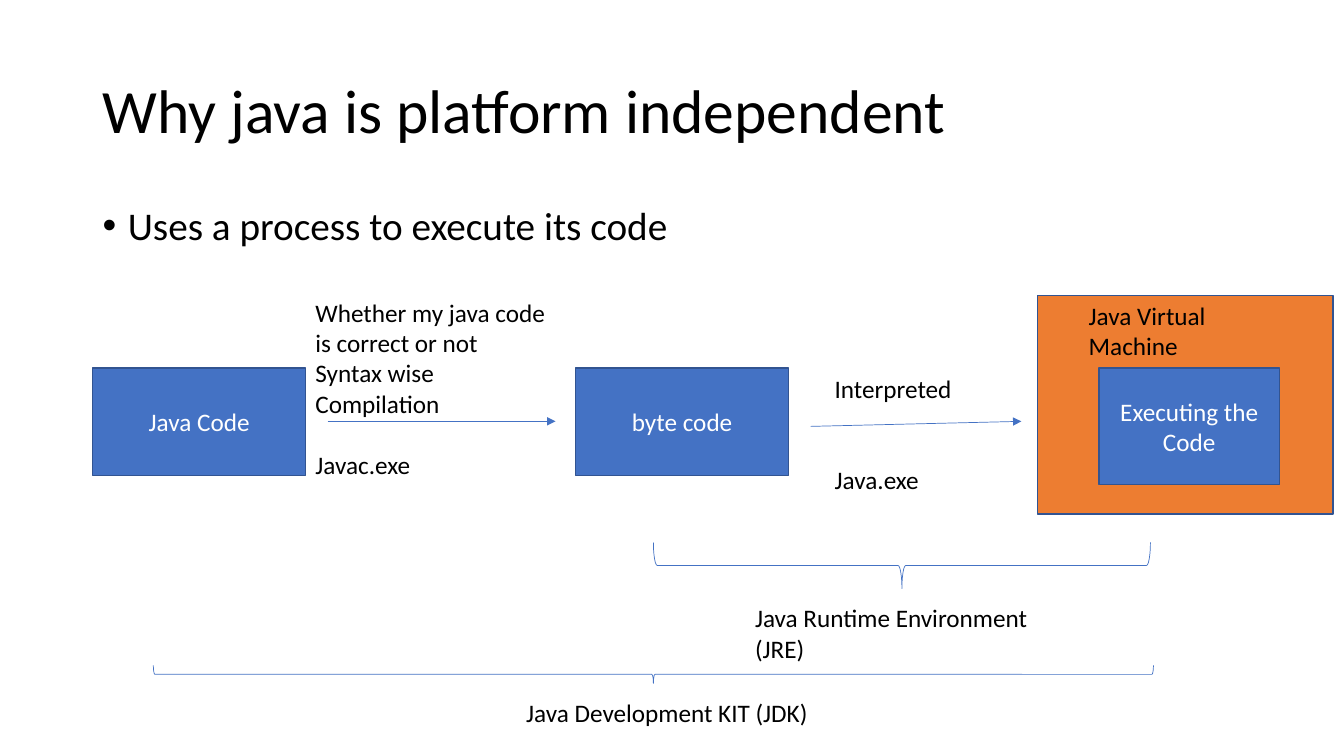
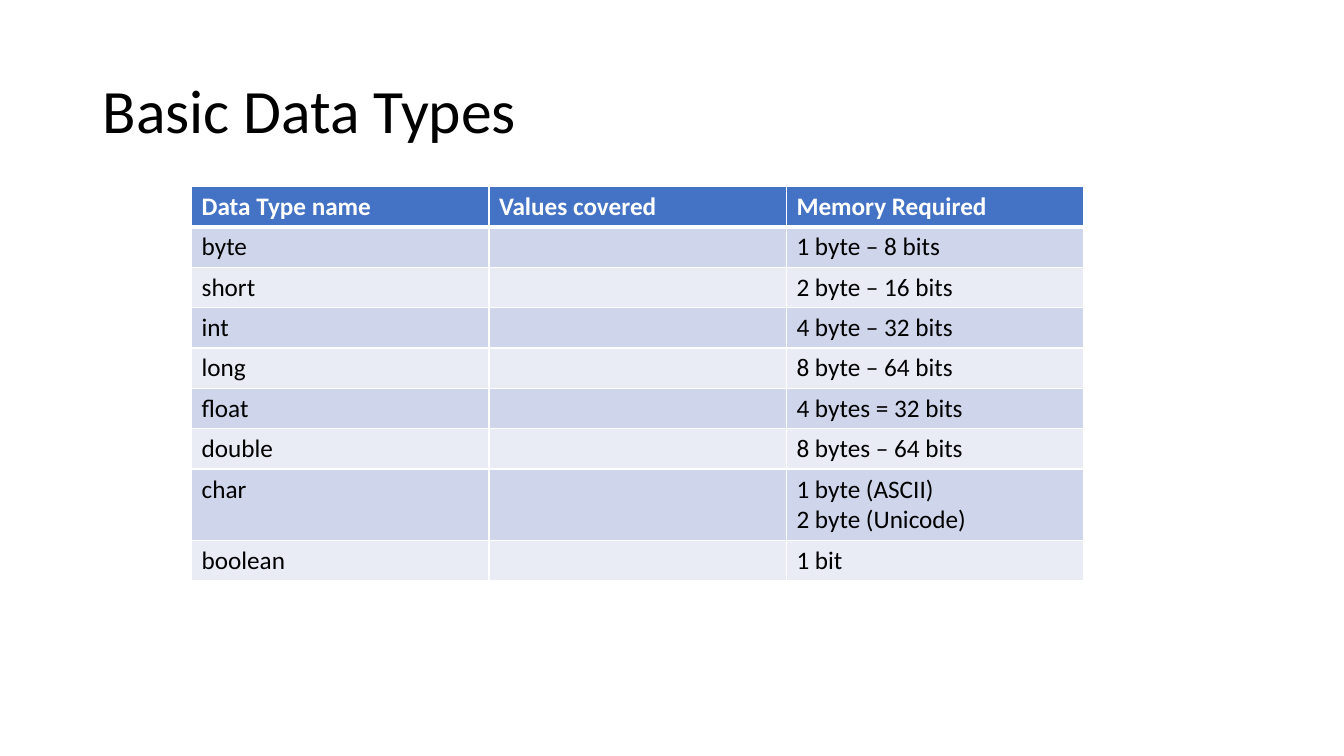
from lxml import etree
from pptx import Presentation
from pptx.dml.color import RGBColor
from pptx.enum.shapes import MSO_CONNECTOR, MSO_SHAPE
from pptx.enum.text import MSO_ANCHOR, PP_ALIGN
from pptx.oxml.ns import qn
from pptx.util import Inches, Pt

RECTANGLE = MSO_SHAPE.RECTANGLE
RIGHT_BRACE = MSO_SHAPE.RIGHT_BRACE
STRAIGHT = MSO_CONNECTOR.STRAIGHT
TOP, MIDDLE = MSO_ANCHOR.TOP, MSO_ANCHOR.MIDDLE
CENTER = PP_ALIGN.CENTER

FONT = "Calibri"
BLACK, WHITE = "000000", "FFFFFF"
BLUE, DARK_BLUE, ORANGE = "4472C4", "325491", "ED7D31"
BANDS = ("CFD5EA", "E9EBF5")
LINE_HEIGHT = 22  # points taken by one line of 18 point text

TITLE_BOX = (0.92, 0.4, 11.5, 1.45)
STEP_TOP, STEP_WIDTH, STEP_HEIGHT = 3.65, 2.11, 1.07
COLUMN_WIDTH, ROW_HEIGHT, TALL_ROW_HEIGHT = 2.95, 0.4, 0.71

DATA_TYPES = [
    ("Data Type name", "Values covered", "Memory Required"),
    ("byte", "", "1 byte – 8 bits"),
    ("short", "", "2 byte – 16 bits"),
    ("int", "", "4 byte – 32 bits"),
    ("long", "", "8 byte – 64 bits"),
    ("float", "", "4 bytes = 32 bits"),
    ("double", "", "8 bytes – 64 bits"),
    ("char", "", "1 byte (ASCII)\n2 byte (Unicode)"),
    ("boolean", "", "1 bit"),
]


def rgb(color):
    return RGBColor.from_string(color)


def inches(values):
    return [Inches(value) for value in values]


def set_attributes(target, values):
    for name, value in values.items():
        setattr(target, name, value)


def write_text(frame, text, size=18, color=BLACK, bold=False, **paragraph_format):
    """Write one paragraph per line of text and return the paragraphs."""
    frame.text = text
    for paragraph in frame.paragraphs:
        set_attributes(paragraph, paragraph_format)
        set_attributes(paragraph.font, {"size": Pt(size), "name": FONT, "bold": bold})
        paragraph.font.color.rgb = rgb(color)
    return frame.paragraphs


def add_text(slide, box, text, anchor=TOP, **text_format):
    frame = slide.shapes.add_textbox(*inches(box)).text_frame
    set_attributes(frame, {"word_wrap": True, "vertical_anchor": anchor})
    return write_text(frame, text, **text_format)


def add_title(slide, text):
    add_text(slide, TITLE_BOX, text, anchor=MIDDLE, size=44, line_spacing=0.9)


def add_bullet(slide, box, text):
    paragraph = add_text(slide, box, text, size=28, line_spacing=0.9,
                         space_before=Pt(10))[0]
    properties = paragraph._p.get_or_add_pPr()
    properties.set("marL", str(Inches(0.25)))
    properties.set("indent", str(Inches(-0.25)))
    etree.SubElement(properties, qn("a:buFont"), typeface="Arial")
    etree.SubElement(properties, qn("a:buChar"), char="•")


def set_line(shape, color, width):
    shape.line.color.rgb = rgb(color)
    shape.line.width = Pt(width)


def add_box(slide, box, text="", fill=BLUE):
    shape = slide.shapes.add_shape(RECTANGLE, *inches(box))
    shape.shadow.inherit = False
    shape.fill.solid()
    shape.fill.fore_color.rgb = rgb(fill)
    set_line(shape, DARK_BLUE, 1)
    if text:
        set_attributes(shape.text_frame, {"word_wrap": True, "vertical_anchor": MIDDLE})
        write_text(shape.text_frame, text, color=WHITE, alignment=CENTER)


def add_arrow(slide, start, end):
    connector = slide.shapes.add_connector(STRAIGHT, *inches(start + end))
    set_line(connector, BLUE, 0.5)
    etree.SubElement(connector.line._get_or_add_ln(), qn("a:tailEnd"), type="triangle")
    etree.SubElement(connector._element.spPr, qn("a:effectLst"))


def add_brace_below(slide, left, top, width, height):
    """Add a brace lying flat with its point downwards, inside the given box."""
    shift = (width - height) / 2
    box = (left + shift, top - shift, height, width)
    brace = slide.shapes.add_shape(RIGHT_BRACE, *inches(box))
    brace.rotation = 90
    brace.shadow.inherit = False
    brace.fill.background()
    set_line(brace, BLUE, 0.5)


def set_cell_borders(cell, bottom_width):
    properties = cell._tc.get_or_add_tcPr()
    for side, width in (("L", 1), ("R", 1), ("T", 1), ("B", bottom_width)):
        line = etree.SubElement(properties, qn(f"a:ln{side}"), w=str(Pt(width)))
        fill = etree.SubElement(line, qn("a:solidFill"))
        etree.SubElement(fill, qn("a:srgbClr"), val=WHITE)


def add_table(slide, left, top, rows):
    heights = [TALL_ROW_HEIGHT if "\n" in row[-1] else ROW_HEIGHT for row in rows]
    columns = len(rows[0])
    box = inches((left, top, columns * COLUMN_WIDTH, sum(heights)))
    table = slide.shapes.add_table(len(rows), columns, *box).table
    for row_index, row in enumerate(rows):
        table.rows[row_index].height = Inches(heights[row_index])
        header = row_index == 0
        for column_index, text in enumerate(row):
            cell = table.cell(row_index, column_index)
            set_cell_borders(cell, 3 if header else 1)
            cell.fill.solid()
            cell.fill.fore_color.rgb = rgb(BLUE if header else BANDS[(row_index - 1) % 2])
            if text:
                write_text(cell.text_frame, text, color=WHITE if header else BLACK,
                           bold=header)


def add_platform_slide(slide):
    add_box(slide, (10.29, 2.93, 2.93, 2.17), fill=ORANGE)
    add_title(slide, "Why java is platform independent")
    add_bullet(slide, (0.92, 2, 11.5, 0.69), "Uses a process to execute its code")

    for left, text in ((0.92, "Java Code"), (5.71, "byte code")):
        add_box(slide, (left, STEP_TOP, STEP_WIDTH, STEP_HEIGHT), text)
    add_box(slide, (10.9, STEP_TOP, 1.79, 1.16), "Executing the Code")
    add_arrow(slide, (3.25, 4.18), (5.51, 4.18))
    add_arrow(slide, (8.04, 4.23), (10.13, 4.18))

    compiling = add_text(
        slide, (3.03, 2.9, 2.58, 1.92),
        "Whether my java code is correct or not\nSyntax wise\nCompilation\nJavac.exe")
    compiling[-1].space_before = Pt(LINE_HEIGHT)
    running = add_text(slide, (8.18, 3.65, 1.94, 1.31), "Interpreted\nJava.exe")
    running[-1].space_before = Pt(2 * LINE_HEIGHT)
    add_text(slide, (10.7, 2.93, 2.1, 0.71), "Java Virtual Machine")

    add_brace_below(slide, 6.48, 5.38, 4.93, 0.46)
    add_text(slide, (7.39, 5.93, 3.51, 0.71), "Java Runtime Environment\n(JRE)")
    add_brace_below(slide, 1.52, 6.6, 9.92, 0.18)
    add_text(slide, (5.12, 6.87, 3.51, 0.4), "Java Development KIT (JDK)")


def add_data_types_slide(slide):
    add_title(slide, "Basic Data Types")
    add_table(slide, 1.9, 1.85, DATA_TYPES)


def main():
    presentation = Presentation()
    presentation.slide_width, presentation.slide_height = inches((13.33, 7.5))
    blank_layout = presentation.slide_layouts[6]
    for fill_slide in (add_platform_slide, add_data_types_slide):
        fill_slide(presentation.slides.add_slide(blank_layout))
    presentation.save("out.pptx")


if __name__ == "__main__":
    main()
